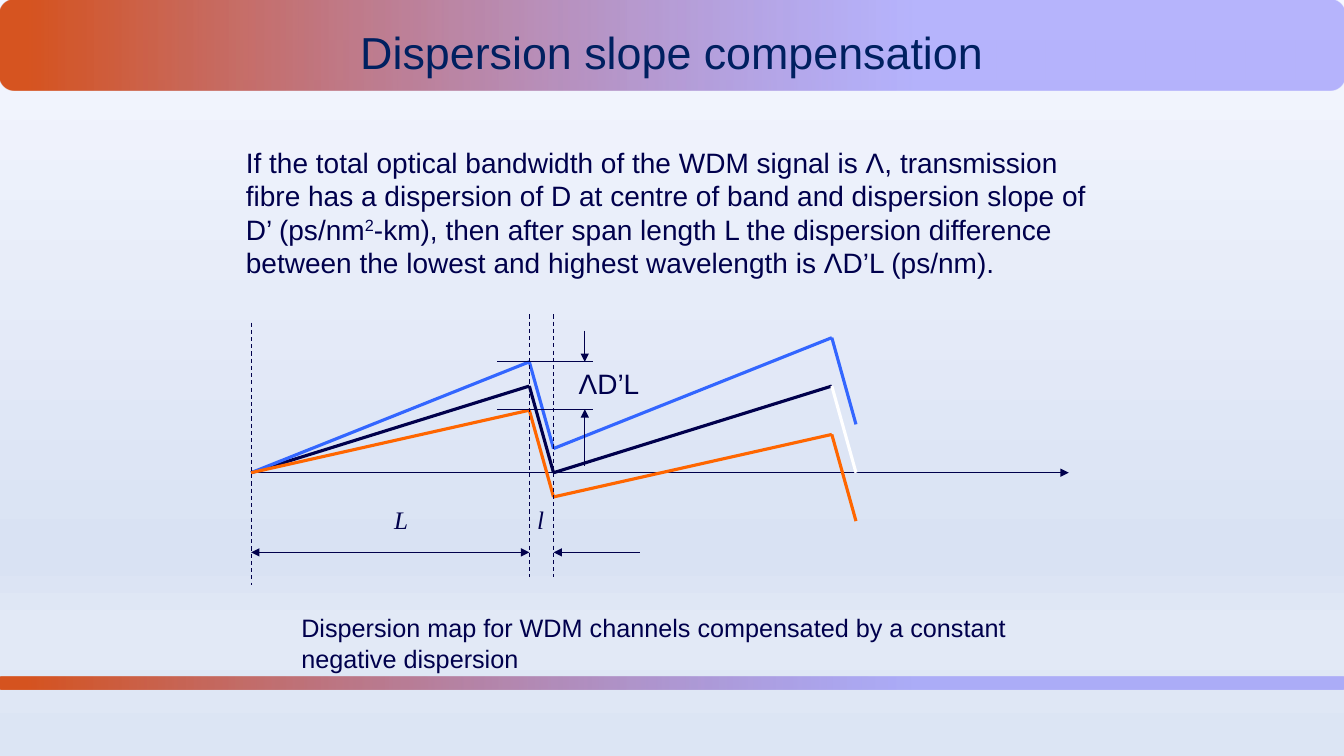
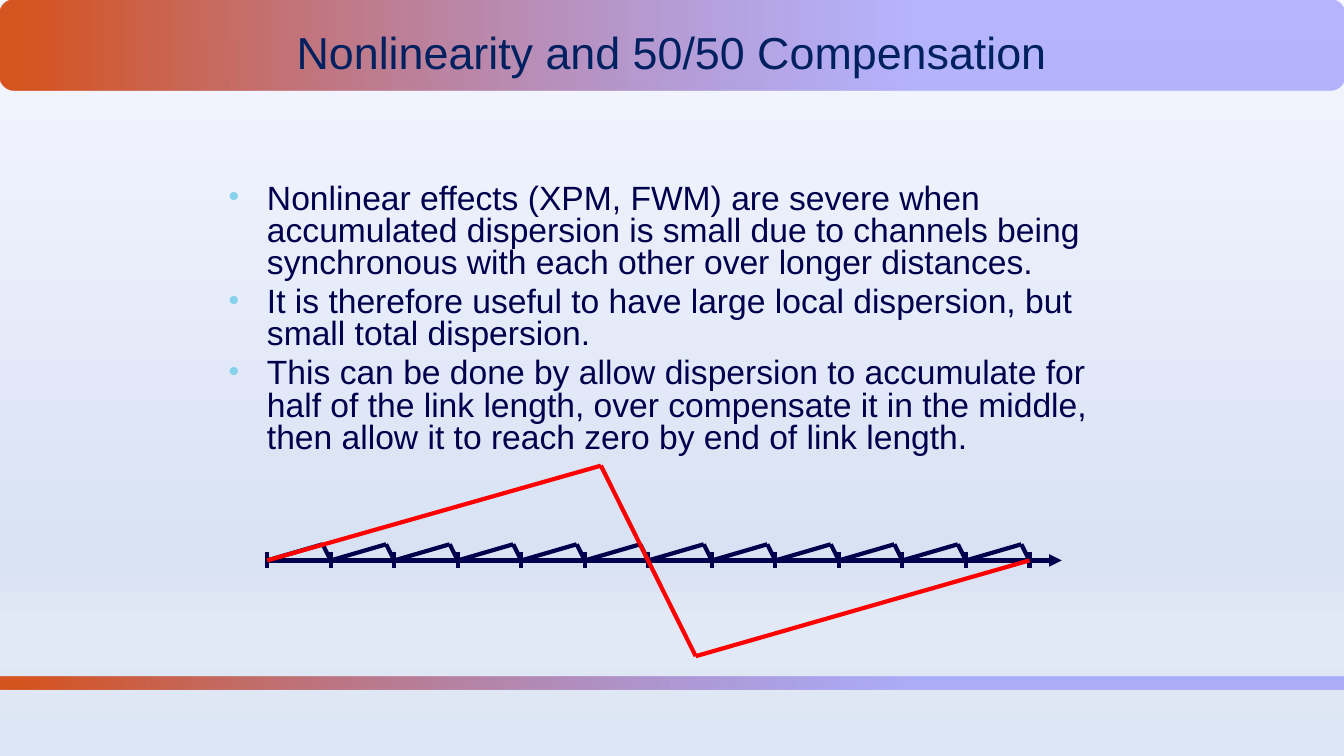
from dataclasses import dataclass

from pptx import Presentation
from pptx.dml.color import RGBColor
from pptx.enum.dml import MSO_LINE
from pptx.enum.shapes import MSO_CONNECTOR, MSO_SHAPE
from pptx.enum.text import PP_ALIGN
from pptx.oxml import parse_xml
from pptx.oxml.ns import nsdecls, qn
from pptx.oxml.xmlchemy import OxmlElement
from pptx.util import Inches, Pt


@dataclass(frozen=True)
class Theme:
    ink: str = "00004C"
    title: str = "002060"
    blue: str = "3366FF"
    orange: str = "FF6600"
    white: str = "FFFFFF"
    red: str = "FF0000"
    bullet: str = "86D1EC"
    # Gradient stops: position %, colour, opacity %
    backdrop: tuple = ((0, "F5F7FF", 100), (74, "D9E2F3", 100),
                       (83, "E2E9F6", 100), (100, "DCE5F4", 100))
    band: tuple = ((2, "D65420", 100), (68, "7B75FB", 51))
    sans: str = "Arial"
    serif: str = "Times New Roman"
    title_size: int = 32
    bullet_size: int = 24
    body_size: int = 20
    label_size: int = 18
    thin: float = 0.75
    trace: float = 2.25
    heavy: float = 3


THEME = Theme()
WIDTH, HEIGHT = 13.33, 7.5


def paint_gradient(fill, stops, angle):
    stop_xml = "".join(
        f'<a:gs pos="{position * 1000}"><a:srgbClr val="{colour}">'
        f'<a:alpha val="{opacity * 1000}"/></a:srgbClr></a:gs>'
        for position, colour, opacity in stops)
    gradient = parse_xml(
        f'<a:gradFill {nsdecls("a")} rotWithShape="1"><a:gsLst>{stop_xml}</a:gsLst>'
        f'<a:lin ang="{angle * 60000}" scaled="0"/></a:gradFill>')
    fill.solid()
    holder = fill._xPr
    holder.replace(holder.find(qn("a:solidFill")), gradient)


def add_span(para, text, size, colour=THEME.ink, font=THEME.sans, italic=False):
    span = para.add_run()
    span.text = text
    span.font.name = font
    span.font.size = Pt(size)
    span.font.italic = italic
    span.font.color.rgb = RGBColor.from_string(colour)
    return span


def add_box(page, left, top, width, height):
    box = page.shapes.add_textbox(Inches(left), Inches(top), Inches(width), Inches(height))
    box.text_frame.word_wrap = True
    return box.text_frame


def add_text(page, place, text, size, **style):
    para = add_box(page, *place).paragraphs[0]
    add_span(para, text, size, **style)
    return para


def add_line(page, start, end, colour=THEME.ink, width=THEME.thin,
             dashed=False, head=False, tail=False):
    """Draw a line; head and tail put an arrowhead at its start and its end."""
    line = page.shapes.add_connector(
        MSO_CONNECTOR.STRAIGHT, *(Inches(value) for value in (*start, *end)))
    line.line.color.rgb = RGBColor.from_string(colour)
    line.line.width = Pt(width)
    if dashed:
        line.line.dash_style = MSO_LINE.DASH
    outline = line.line._get_or_add_ln()
    for wanted, tag in ((head, "a:headEnd"), (tail, "a:tailEnd")):
        if wanted:
            arrow = OxmlElement(tag)
            arrow.set("type", "triangle")
            outline.append(arrow)
    line._element.spPr.append(OxmlElement("a:effectLst"))


def add_path(page, points, colour, width):
    for start, end in zip(points, points[1:]):
        add_line(page, start, end, colour, width)


def add_band(page, top, height):
    band = page.shapes.add_shape(
        MSO_SHAPE.ROUNDED_RECTANGLE, 0, Inches(top), Inches(WIDTH), Inches(height))
    band.shadow.inherit = False
    band.line.fill.background()
    paint_gradient(band.fill, THEME.band, 0)


def add_page(deck, title):
    page = deck.slides.add_slide(deck.slide_layouts[6])
    add_band(page, 0, 0.9)
    add_band(page, 6.71, 0.13)
    para = add_text(page, (0, 0.2, WIDTH, 0.46), title, THEME.title_size, colour=THEME.title)
    para.alignment = PP_ALIGN.CENTER
    return page


def add_bullets(page, place, items):
    frame = add_box(page, *place)
    for index, item in enumerate(items):
        para = frame.add_paragraph() if index else frame.paragraphs[0]
        para.line_spacing = 0.8
        if index:
            para.space_before = Pt(4.8)
        properties = para._p.get_or_add_pPr()
        properties.set("marL", str(Inches(0.38)))
        properties.set("indent", str(-Inches(0.38)))
        for xml in (f'<a:buClr {nsdecls("a")}><a:srgbClr val="{THEME.bullet}"/></a:buClr>',
                    f'<a:buSzPct {nsdecls("a")} val="90000"/>',
                    f'<a:buFont {nsdecls("a")} typeface="{THEME.sans}"/>',
                    f'<a:buChar {nsdecls("a")} char="•"/>'):
            properties.append(parse_xml(xml))
        add_span(para, item, THEME.bullet_size)


def add_dispersion_map(page):
    origin, axis = 2.49, 4.69
    span_length, fibre_length, fall = 3.0, 2.76, 0.86
    peak, span_end = origin + fibre_length, origin + span_length
    channels = ((THEME.ink, 0.86), (THEME.blue, 1.1), (THEME.orange, 0.62))

    add_line(page, (origin, axis), (10.6, axis), tail=True)
    for span_index in range(2):
        left = origin + span_index * span_length
        crest = left + fibre_length
        for colour, rise in channels:
            base = axis - span_index * (rise - fall)
            fades = span_index == 1 and colour == THEME.ink
            add_line(page, (left, base), (crest, base - rise), colour, THEME.trace)
            add_line(page, (crest, base - rise), (left + span_length, base - rise + fall),
                     THEME.white if fades else colour, THEME.trace)

    for x, top in ((origin, 3.2), (peak, 3.12), (span_end, 3.12)):
        add_line(page, (x, top), (x, top + 2.6), dashed=True)

    upper, lower, gauge = 3.59, 4.06, 5.8
    for level, outside in ((upper, 3.28), (lower, 4.62)):
        add_line(page, (4.93, level), (5.88, level))
        add_line(page, (gauge, outside), (gauge, level), tail=True)
    add_text(page, (5.64, upper, 1.03, 0.44), "ΛD’L", THEME.body_size)

    add_line(page, (origin, 5.48), (peak, 5.48), head=True, tail=True)
    add_line(page, (span_end, 5.48), (6.35, 5.48), head=True)
    for text, left, width in (("L", 3.81, 0.34), ("l", 5.23, 0.27)):
        add_text(page, (left, 4.95, width, 0.4), text, THEME.label_size,
                 font=THEME.serif, italic=True)


def add_link_map(page):
    """Draw per-span compensation along the link, and 50/50 compensation over it."""
    origin, axis, pitch, spans = 2.65, 5.56, 0.63, 12
    link_end = origin + spans * pitch
    add_line(page, (origin, axis), (10.53, axis), width=THEME.heavy, tail=True)
    for index in range(spans + 1):
        x = origin + index * pitch
        add_line(page, (x, axis - 0.08), (x, axis + 0.08), width=THEME.heavy)
    for index in range(spans):
        x = origin + index * pitch
        add_path(page, ((x, axis), (x + 0.55, axis - 0.16), (x + pitch, axis)),
                 THEME.ink, THEME.heavy)
    add_path(page, ((origin, axis), (5.96, 4.62), (6.9, 6.51), (link_end, axis)),
             THEME.red, THEME.heavy)


def build_slope_page(deck):
    page = add_page(deck, "Dispersion slope compensation")
    para = add_text(
        page, (2.34, 1.39, 8.82, 1.43),
        "If the total optical bandwidth of the WDM signal is Λ, transmission fibre has a "
        "dispersion of D at centre of band and dispersion slope of D’ (ps/nm",
        THEME.body_size)
    power = add_span(para, "2", THEME.body_size)
    power._r.get_or_add_rPr().set("baseline", "30000")
    add_span(para, "-km), then after span length L the dispersion difference between the "
             "lowest and highest wavelength is ΛD’L (ps/nm).", THEME.body_size)
    add_dispersion_map(page)
    add_text(page, (2.89, 6.03, 7.8, 0.7),
             "Dispersion map for WDM channels compensated by a constant negative dispersion",
             THEME.label_size)


def build_nonlinearity_page(deck):
    page = add_page(deck, "Nonlinearity and 50/50 Compensation")
    add_bullets(page, (2.17, 1.78, 9, 2.7), (
        "Nonlinear effects (XPM, FWM) are severe when accumulated dispersion is small due to "
        "channels being synchronous with each other over longer distances.",
        "It is therefore useful to have large local dispersion, but small total dispersion.",
        "This can be done by allow dispersion to accumulate for half of the link length, over "
        "compensate it in the middle, then allow it to reach zero by end of link length."))
    add_link_map(page)


def main():
    deck = Presentation()
    deck.slide_width, deck.slide_height = Inches(WIDTH), Inches(HEIGHT)
    paint_gradient(deck.slide_master.background.fill, THEME.backdrop, 90)
    build_slope_page(deck)
    build_nonlinearity_page(deck)
    deck.save("out.pptx")


if __name__ == "__main__":
    main()
